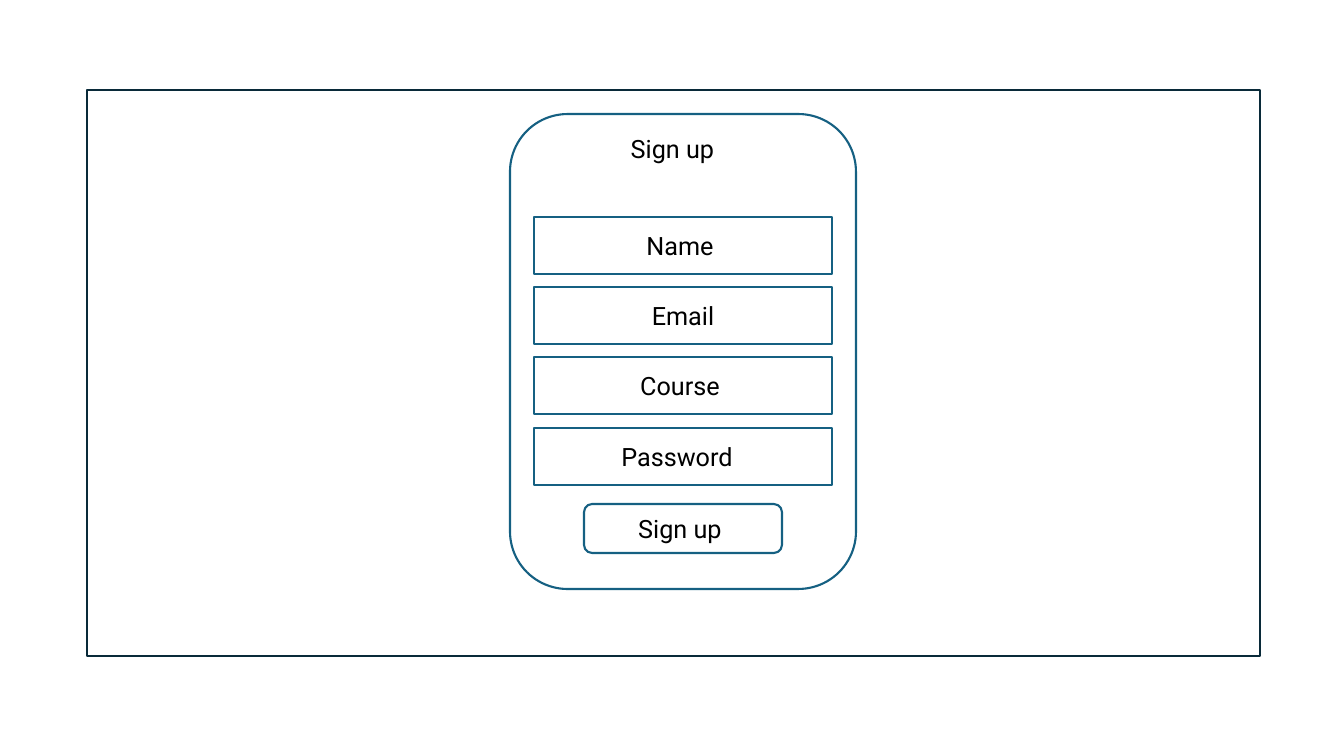
"""Builds a slide with a sign-up screen wireframe."""
from pptx import Presentation
from pptx.dml.color import RGBColor
from pptx.enum.shapes import MSO_SHAPE
from pptx.enum.text import MSO_ANCHOR, MSO_AUTO_SIZE, PP_ALIGN
from pptx.util import Emu, Pt

RECT = MSO_SHAPE.RECTANGLE
ROUNDED = MSO_SHAPE.ROUNDED_RECTANGLE
MIDDLE = MSO_ANCHOR.MIDDLE
CENTER = PP_ALIGN.CENTER
GROW = MSO_AUTO_SIZE.SHAPE_TO_FIT_TEXT
COLORS = {"frame": "092A39", "outline": "156082", "fill": "FFFFFF", "text": "000000"}


class Wireframe:
    def __init__(self, slide, font="Roboto", size=18, line=1.5, inset=10):
        self.slide = slide
        self.font = font
        self.size = size
        self.line = line
        self.inset = inset

    def px(self, *lengths):
        return [Emu(round(length * 914400 / 100.8)) for length in lengths]

    def color(self, name):
        return RGBColor.from_string(COLORS[name])

    def add_words(self, frame, words):
        frame.word_wrap = True
        paragraph = frame.paragraphs[0]
        paragraph.alignment = CENTER
        run = paragraph.add_run()
        run.text = words
        run.font.name = self.font
        run.font.size = Pt(self.size)
        run.font.color.rgb = self.color("text")

    def box(self, kind, box, line="outline", fill="fill"):
        shape = self.slide.shapes.add_shape(kind, *self.px(*box))
        shape.shadow.inherit = False
        shape.line.color.rgb = self.color(line)
        shape.line.width = Pt(self.line)
        if fill:
            shape.fill.solid()
            shape.fill.fore_color.rgb = self.color(fill)
        else:
            shape.fill.background()
        return shape

    def control(self, kind, box, words, extra_right=0):
        frame = self.box(kind, box).text_frame
        frame.vertical_anchor = MIDDLE
        frame.margin_left, frame.margin_right = self.px(self.inset, self.inset + extra_right)
        self.add_words(frame, words)

    def label(self, box, words):
        frame = self.slide.shapes.add_textbox(*self.px(*box)).text_frame
        self.add_words(frame, words)
        frame.auto_size = GROW


deck = Presentation()
wireframe = Wireframe(deck.slides.add_slide(deck.slide_layouts[6]))
deck.slide_width, deck.slide_height = wireframe.px(1344, 756)

wireframe.box(RECT, (87, 90, 1173, 566), line="frame", fill=None)
wireframe.box(ROUNDED, (510, 114, 346, 475))
wireframe.label((568, 128, 209, 41), "Sign up")

fields = [("Name", 6), ("Email", 0), ("Course", 6), ("Password", 12)]
for row, (field, extra_right) in enumerate(fields):
    field_top = 217 + row * 211 // 3
    wireframe.control(RECT, (534, field_top, 298, 57), field, extra_right)

wireframe.control(ROUNDED, (584, 504, 198, 49), "Sign up", 6)

deck.save("out.pptx")
